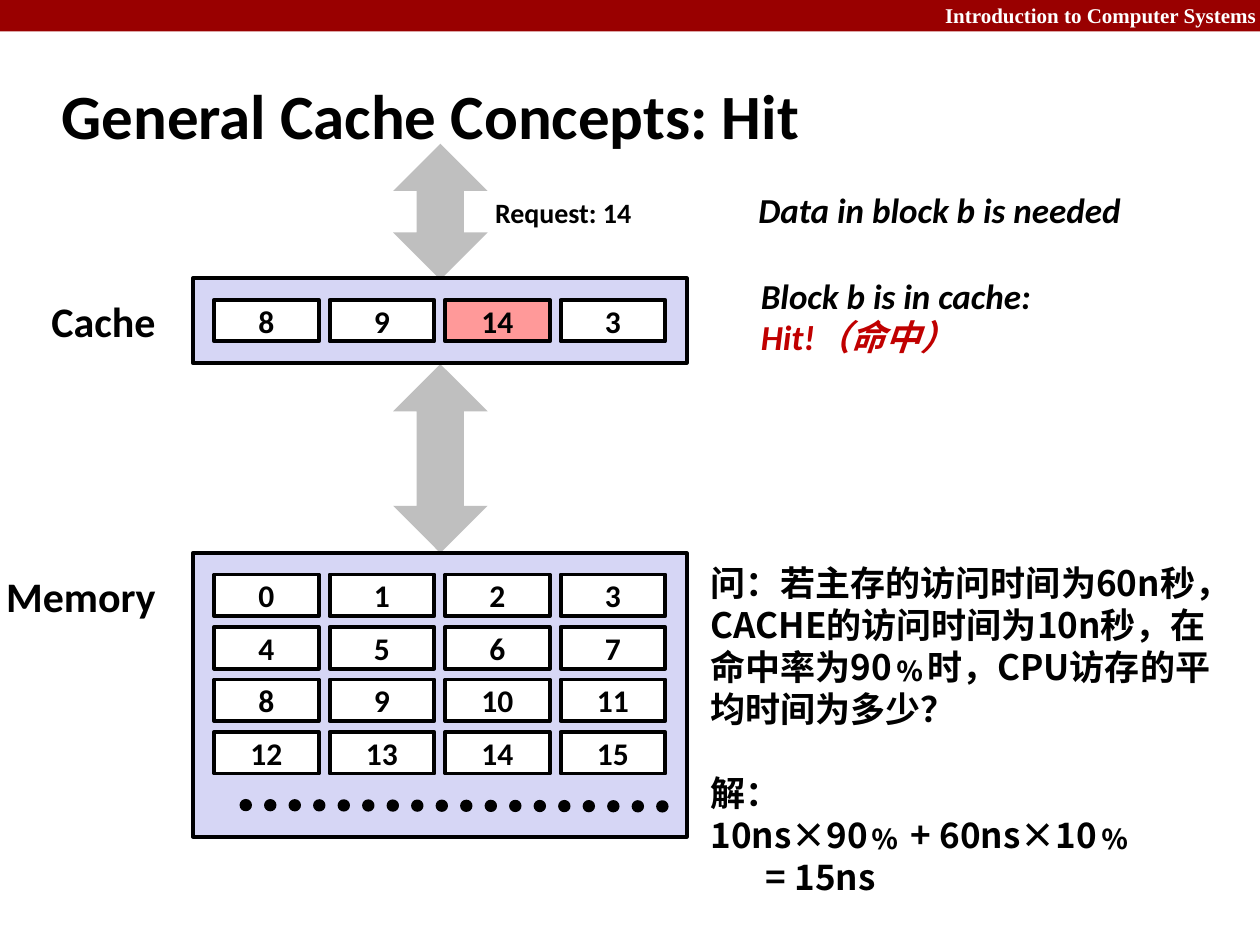
"""Build a slide on cache hits: a small cache above a larger memory, with a worked example."""
from dataclasses import dataclass

from lxml import etree
from pptx import Presentation, util as u
from pptx.dml.color import RGBColor
from pptx.enum import dml, shapes, text
from pptx.oxml.ns import qn


@dataclass(frozen=True)
class Theme:
    banner: str = "990000"
    arrow: str = "BFBFBF"
    store: str = "D6D6F5"
    block: str = "FFFFFF"
    hit_block: str = "FF9999"
    hit_word: str = "C00000"
    ink: str = "000000"
    light: str = "FFFFFF"
    font: str = "Calibri"
    banner_font: str = "Times New Roman"
    chinese_font: str = "Noto Sans CJK SC"
    title_size: int = 36
    label_size: int = 24
    note_size: int = 20
    block_size: int = 18
    request_size: int = 16
    banner_size: int = 12
    outline: float = 2.25
    dots: int = 7


theme = Theme()
deck = Presentation()
deck.slide_width, deck.slide_height = u.Inches(10), u.Inches(7.5)
slide = deck.slides.add_slide(deck.slide_layouts[6])


def add_words(box, lines, size, color=theme.ink, font=theme.font, italic=False,
              wrap=False, anchor=text.MSO_ANCHOR.TOP, **paragraph_format):
    frame = box.text_frame
    frame.word_wrap, frame.vertical_anchor = wrap, anchor
    font_format = {"name": font, "size": u.Pt(size), "bold": True, "italic": italic}
    for index, line in enumerate(lines):
        paragraph = frame.add_paragraph() if index else frame.paragraphs[0]
        for name, value in paragraph_format.items():
            setattr(paragraph, name, value)
        run = paragraph.add_run()
        run.text = line
        for name, value in font_format.items():
            setattr(run.font, name, value)
        run.font.color.rgb = RGBColor.from_string(color)
        if font == theme.chinese_font:
            etree.SubElement(run.font._element, qn("a:ea"), typeface=font)
    return frame.paragraphs


def add_figure(preset, bounds, fill, outlined=False):
    figure = slide.shapes.add_shape(preset, *map(u.Inches, bounds))
    figure.shadow.inherit = False
    figure.fill.solid()
    figure.fill.fore_color.rgb = RGBColor.from_string(fill)
    if outlined:
        figure.line.color.rgb = RGBColor.from_string(theme.ink)
        figure.line.width = u.Pt(theme.outline)
    else:
        figure.line.fill.background()
    return figure


rectangle = shapes.MSO_SHAPE.RECTANGLE
middle = text.MSO_ANCHOR.MIDDLE
centre, right = text.PP_ALIGN.CENTER, text.PP_ALIGN.RIGHT

add_figure(rectangle, (0, 0, 10, 0.25), theme.banner)
for top, height in ((1.14, 1.08), (2.89, 1.5)):
    add_figure(shapes.MSO_SHAPE.UP_DOWN_ARROW, (3.12, top, 0.75, height), theme.arrow)

stores = (
    (4.39, 2.25, 4.56, [[str(4 * row + column) for column in range(4)] for row in range(4)]),
    (2.21, 0.67, 2.38, [["8", "9", "14", "3"]]),
)
hit = (2.38, "14")
column_step, row_step = 2.75 / 3, 1.25 / 3
for store_top, store_height, blocks_top, rows in stores:
    add_figure(rectangle, (1.53, store_top, 3.92, store_height), theme.store, True)
    for row, numbers in enumerate(rows):
        for column, number in enumerate(numbers):
            fill = theme.hit_block if (blocks_top, number) == hit else theme.block
            bounds = (1.7 + column * column_step, blocks_top + row * row_step, 0.83, 0.33)
            block = add_figure(rectangle, bounds, fill, True)
            add_words(block, [number], theme.block_size, anchor=middle, wrap=True,
                      alignment=centre)

more_blocks = slide.shapes.add_connector(
    shapes.MSO_CONNECTOR.STRAIGHT, *map(u.Inches, (1.95, 6.39, 5.28, 6.4)))
more_blocks.line.color.rgb = RGBColor.from_string(theme.ink)
more_blocks.line.width = u.Pt(theme.dots)
more_blocks.line.dash_style = dml.MSO_LINE.ROUND_DOT
outline_xml = more_blocks._element.spPr
outline_xml.find(qn("a:ln")).set("cap", "rnd")
etree.SubElement(outline_xml, qn("a:effectLst"))

note = {"size": theme.note_size, "italic": True, "anchor": middle, "line_spacing": 0.98}
captions = (
    ((6, -0.03, 4.07, 0.3), ["Introduction to Computer Systems"],
     {"size": theme.banner_size, "color": theme.light, "font": theme.banner_font,
      "wrap": True, "alignment": right}),
    ((0.39, 0.49, 8.3, 0.83), ["General Cache Concepts: Hit"],
     {"size": theme.title_size, "wrap": True, "anchor": middle}),
    ((0.31, 2.3, 1.04, 0.5), ["Cache"], {"size": theme.label_size}),
    ((-0.05, 4.48, 1.4, 0.5), ["Memory"], {"size": theme.label_size}),
    ((5.92, 1.46, 3.09, 0.43), ["Data in block b is needed"], note),
    ((3.82, 1.5, 1.3, 0.37), ["Request: 14"],
     {"size": theme.request_size, "alignment": centre}),
    ((5.94, 2.14, 2.36, 0.76), ["Block b is in cache:", "Hit!（命中）"], note),
    ((5.54, 4.41, 4.28, 2.79),
     ["问：若主存的访问时间为60n秒，CACHE的访问时间为10n秒，在命中率为90﹪时，CPU访存的平均时间为多少？",
      "解：", "10ns×90﹪ + 60ns×10﹪", "= 15ns"],
     {"size": theme.note_size, "font": theme.chinese_font, "wrap": True,
      "line_spacing": u.Pt(24)}),
)
written = {}
for bounds, lines, caption_format in captions:
    box = slide.shapes.add_textbox(*map(u.Inches, bounds))
    written[lines[0]] = add_words(box, lines, **caption_format)

hit_line = written["Block b is in cache:"][1]
hit_line.runs[0].font.color.rgb = RGBColor.from_string(theme.hit_word)
question, answer, formula, result = written[captions[-1][1][0]]
answer.space_before = u.Pt(24)
result._p.get_or_add_pPr().set("marL", str(u.Inches(0.44)))

deck.save("out.pptx")
